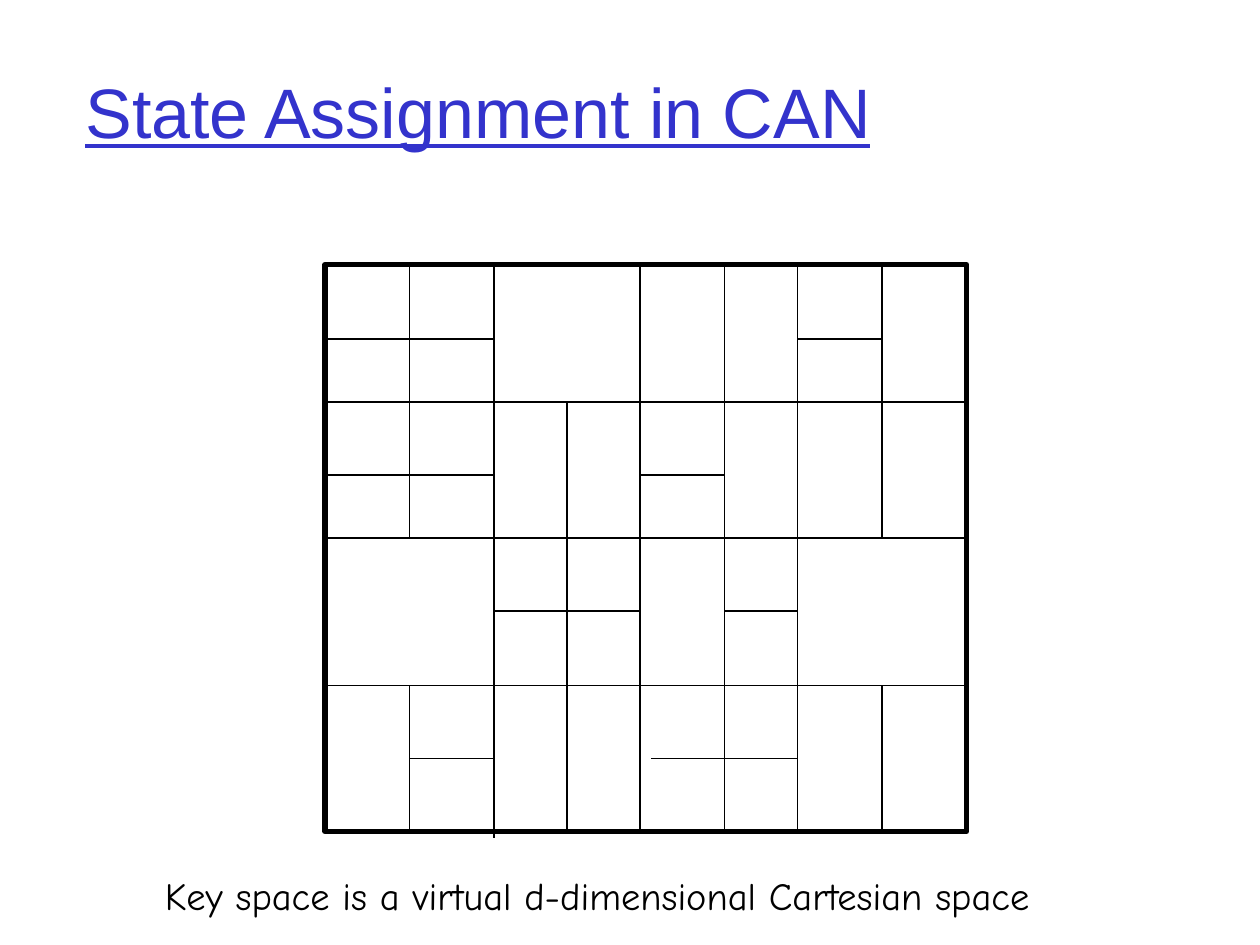
"""Build the slide on state assignment in a CAN key space."""
from lxml import etree
from pptx import Presentation
from pptx.dml.color import RGBColor
from pptx.enum import shapes, text
from pptx.oxml import ns
from pptx.util import Inches, Pt

THEME = {
    "title": {"name": "Arial", "size": Pt(40), "underline": True, "color": "3333CC"},
    "caption": {"name": "Comic Neue", "size": Pt(22), "color": "000000"},
    "line": "000000",
    "border_width": Pt(3),
    "split_width": Pt(0.75),
}

columns = [2.58, 3.25, 3.92, 4.5, 5.08, 5.75, 6.33, 7, 7.67]
rows = [2.1, 2.69, 3.19, 3.77, 4.27, 4.85, 5.44, 6.02, 6.6]
bands = [0, 2, 4, 6, 8]

full_splits = [
    (columns[2], rows[0], columns[2], 6.65),
    (columns[4], 2.08, columns[4], 6.62),
    (columns[6], rows[0], columns[6], rows[8]),
] + [(columns[0], rows[row], columns[8], rows[row]) for row in bands[1:-1]]

columns_split_in_band = [(1, 5, 7), (1, 3, 5, 7), (3, 5), (1, 3, 5, 7)]
band_splits = [
    (columns[column], rows[top], columns[column], rows[bottom])
    for top, bottom, split_columns in zip(bands, bands[1:], columns_split_in_band)
    for column in split_columns
]

row_splits = [
    (columns[start], rows[row], columns[end], rows[row])
    for row, start, end in [(1, 0, 2), (1, 6, 7), (3, 0, 2), (3, 4, 5),
                            (5, 2, 4), (5, 5, 6), (7, 1, 2)]
] + [(5.17, rows[7], columns[6], rows[7])]

presentation = Presentation()
presentation.slide_width = Inches(10)
presentation.slide_height = Inches(7.5)
slide = presentation.slides.add_slide(presentation.slide_layouts[6])


def add_text(words, box, style, frame_format):
    """Add a one-line text box."""
    frame = slide.shapes.add_textbox(*map(Inches, box)).text_frame
    for name, value in frame_format.items():
        setattr(frame, name, value)
    run = frame.paragraphs[0].add_run()
    run.text = words
    for name, value in THEME[style].items():
        if name == "color":
            run.font.color.rgb = RGBColor.from_string(value)
        else:
            setattr(run.font, name, value)


add_text("State Assignment in CAN", (0.58, 0.25, 8.5, 1.25), "title",
         {"word_wrap": True, "vertical_anchor": text.MSO_ANCHOR.MIDDLE})

key_space = slide.shapes.add_group_shape()
border = key_space.shapes.add_shape(
    shapes.MSO_SHAPE.RECTANGLE, Inches(columns[0]), Inches(rows[0]),
    Inches(columns[-1] - columns[0]), Inches(rows[-1] - rows[0]))
border.shadow.inherit = False
border.fill.background()
border.line.color.rgb = RGBColor.from_string(THEME["line"])
border.line.width = THEME["border_width"]

for ends in full_splits + band_splits + row_splits:
    split = key_space.shapes.add_connector(
        shapes.MSO_CONNECTOR.STRAIGHT, *map(Inches, ends))
    split.line.color.rgb = RGBColor.from_string(THEME["line"])
    split.line.width = THEME["split_width"]
    etree.SubElement(split._element.spPr, ns.qn("a:effectLst"))

add_text("Key space is a virtual d-dimensional Cartesian space",
         (1.21, 6.87, 7.54, 0.47), "caption",
         {"word_wrap": False, "auto_size": text.MSO_AUTO_SIZE.SHAPE_TO_FIT_TEXT})

presentation.save("out.pptx")
